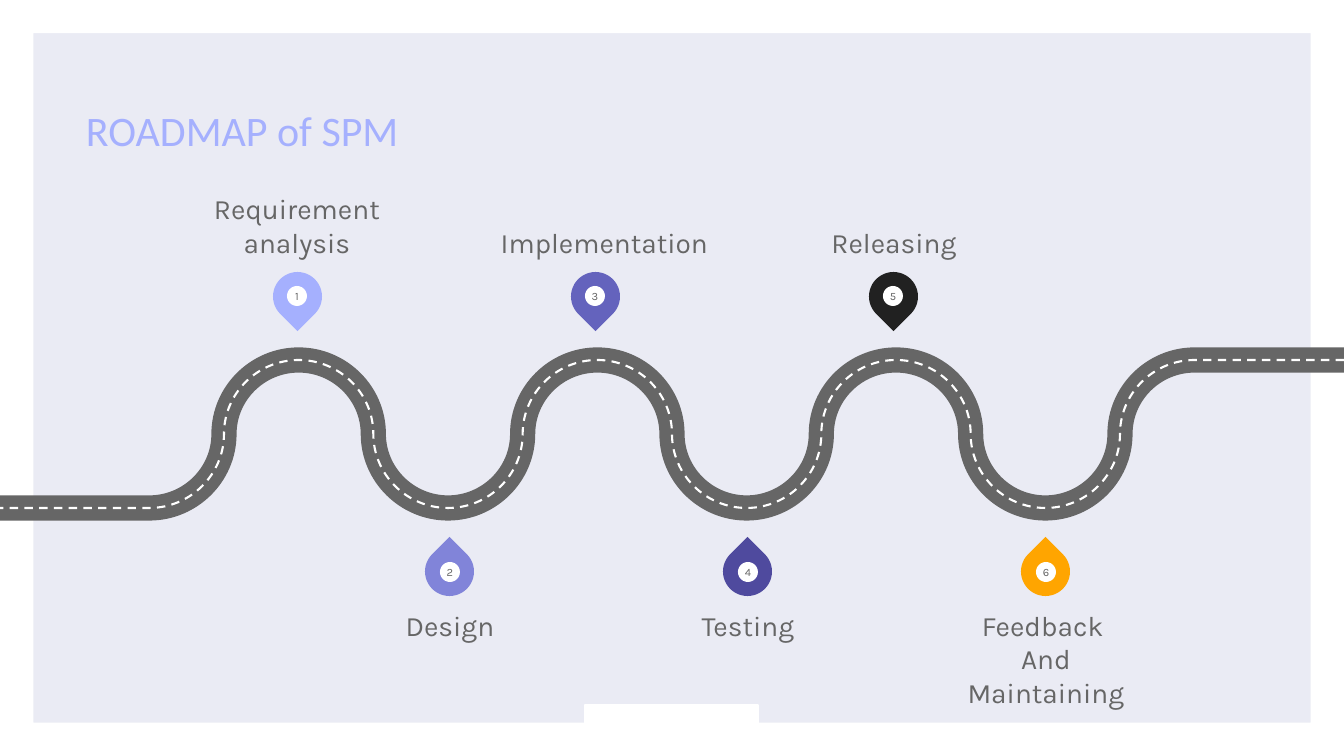
"""Build a roadmap slide with a winding road and six numbered stages."""
from lxml import etree
from pptx import Presentation
from pptx.dml.color import RGBColor
from pptx.enum.dml import MSO_LINE
from pptx.enum.shapes import MSO_SHAPE
from pptx.enum.text import MSO_ANCHOR, MSO_AUTO_SIZE, PP_ALIGN
from pptx.oxml.ns import qn
from pptx.util import Pt

FRAME, RECT = MSO_SHAPE.FRAME, MSO_SHAPE.RECTANGLE
TEAR, OVAL = MSO_SHAPE.TEAR, MSO_SHAPE.OVAL
TOP, MIDDLE, BOTTOM = MSO_ANCHOR.TOP, MSO_ANCHOR.MIDDLE, MSO_ANCHOR.BOTTOM
LEFT, CENTER = PP_ALIGN.LEFT, PP_ALIGN.CENTER
DASH, NO_AUTOFIT = MSO_LINE.DASH, MSO_AUTO_SIZE.NONE

WIDTH, HEIGHT = 1344, 756
PX = 12192000 / WIDTH
ROUNDNESS = 0.55
COLORS = {name: RGBColor.from_string(value) for name, value in {
    "back": "EAEBF4", "white": "FFFFFF", "grey": "666666",
    "lilac": "A5B0FE", "periwinkle": "8184D9", "violet": "6463BD",
    "indigo": "4F4A9E", "black": "212121", "orange": "FFA500",
}.items()}


def add_filled(shapes, kind, x, y, w, h, color):
    sp = shapes.add_shape(kind, *(round(v * PX) for v in (x, y, w, h)))
    sp.shadow.inherit = False
    sp.fill.solid()
    sp.fill.fore_color.rgb = COLORS[color]
    sp.line.fill.background()
    return sp


def write(sp, text, size=20, font="Karla", color="grey", align=CENTER,
          anchor=MIDDLE, inset=0):
    tf = sp.text_frame
    tf.text = text
    tf.word_wrap = True
    tf.auto_size = NO_AUTOFIT
    tf.vertical_anchor = anchor
    tf.margin_left = tf.margin_right = round(inset * PX)
    tf.margin_top = tf.margin_bottom = round(inset * PX)
    for p in tf.paragraphs:
        p.alignment = align
        for r in p.runs:
            r.font.size = Pt(size)
            r.font.name = font
            r.font.color.rgb = COLORS[color]


prs = Presentation()
prs.slide_width, prs.slide_height = round(WIDTH * PX), round(HEIGHT * PX)
s = prs.slides.add_slide(prs.slide_layouts[5])
s.background.fill.solid()
s.background.fill.fore_color.rgb = COLORS["back"]

border = add_filled(s.shapes, FRAME, 0, 0, WIDTH, HEIGHT, "white")
border.adjustments[0] = 0.044

title = s.shapes.title
title.left, title.top, title.width, title.height = (
    round(v * PX) for v in (73, 42, 755, 126))
write(title, "ROADMAP of SPM", size=30, font="Calibri", color="lilac",
      align=LEFT, anchor=BOTTOM, inset=13)

radius, road_top, rise = WIDTH / 18, 360, 74
levels = (0, 1, 2, 1)
bends = [(WIDTH, 0)]
bends += [(radius * (16 - i), rise * levels[i % 4]) for i in range(15)]
bends += [(0, 2 * rise)]
points = [(x * PX, (road_top + y) * PX) for x, y in bends]
for color, width, dash in (("grey", 18, None), ("white", 1.5, DASH)):
    builder = s.shapes.build_freeform(*points[0])
    builder.add_line_segments(points[1:], close=False)
    road = builder.convert_to_shape()
    road.shadow.inherit = False
    road.fill.background()
    road.line.color.rgb = COLORS[color]
    road.line.width = Pt(width)
    road.line.dash_style = dash
    segments = list(road._element.iter(qn("a:lnTo")))
    for i, segment in enumerate(segments[1:-1], start=1):
        (x0, y0), (x1, y1) = bends[i], bends[i + 1]
        corner = (x1, y0) if i % 2 else (x0, y1)
        segment.tag = qn("a:cubicBezTo")
        for place, end in enumerate((bends[i], bends[i + 1])):
            x, y = (a + (b - a) * ROUNDNESS for a, b in zip(end, corner))
            control = etree.Element(qn("a:pt"), x=str(round(x * PX)),
                                    y=str(round(y * PX)))
            segment.insert(place, control)

stages = [
    ("Requirement analysis", "lilac", 202, 214, 190, 45),
    ("Design", "periwinkle", 355, 608, 190, 79),
    ("Implementation", "violet", 496, 180, 217, 79),
    ("Testing", "indigo", 653, 608, 190, 79),
    ("Releasing", "black", 799, 180, 190, 79),
    ("Feedback \nAnd\nMaintaining", "orange", 951, 608, 190, 79),
]
for i, (label, color, *box) in enumerate(stages):
    below = i % 2 == 1
    x = (425 if below else 273) + 298 * (i // 2)
    y = 547 if below else 272
    pin = s.shapes.add_group_shape()
    drop = add_filled(pin.shapes, TEAR, x, y, 49, 49, color)
    drop.rotation = 315 if below else 135
    inset = 15 if below else 14
    dot = add_filled(pin.shapes, OVAL, x + inset, y + inset, 20, 20, "white")
    write(dot, str(i + 1), size=8)
    caption = s.shapes.add_textbox(*(round(v * PX) for v in box))
    write(caption, label, anchor=TOP if below else BOTTOM)

tab = add_filled(s.shapes, RECT, 585, 705, 173, 49, "white")
tab.line.color.rgb = COLORS["white"]
tab.line.width = Pt(2)

prs.save("out.pptx")
